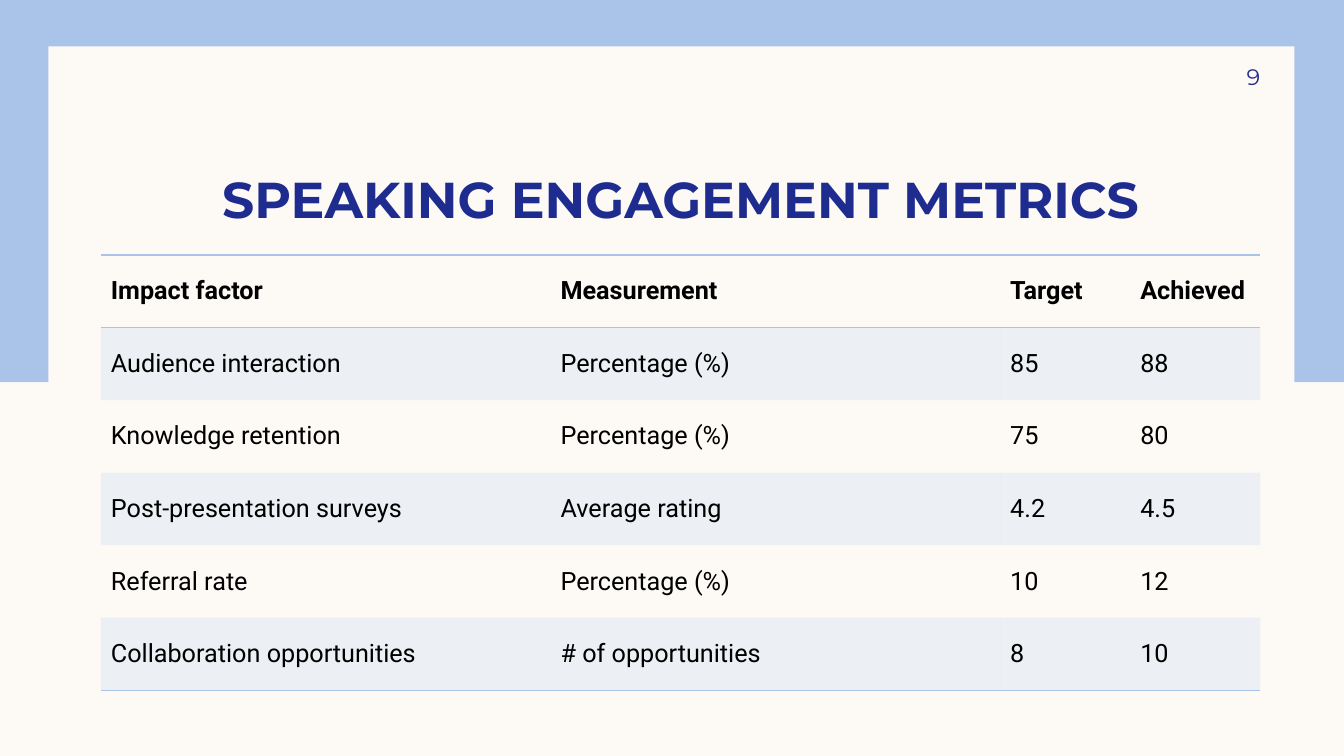
import pptx
import pptx.dml.color
import pptx.enum.shapes
import pptx.enum.text
import pptx.oxml
import pptx.oxml.ns
import pptx.util
from lxml import etree

Inches = pptx.util.Inches
Pt = pptx.util.Pt
ALIGN = pptx.enum.text.PP_ALIGN
ANCHOR = pptx.enum.text.MSO_ANCHOR

HEADING = "SPEAKING ENGAGEMENT METRICS"
PAGE_NUMBER = "9"
METRICS = [
    ("Impact factor", "Measurement", "Target", "Achieved"),
    ("Audience interaction", "Percentage (%)", "85", "88"),
    ("Knowledge retention", "Percentage (%)", "75", "80"),
    ("Post-presentation surveys", "Average rating", "4.2", "4.5"),
    ("Referral rate", "Percentage (%)", "10", "12"),
    ("Collaboration opportunities", "# of opportunities", "8", "10"),
]
COLUMN_WIDTHS = (4.46, 4.46, 1.29, 1.29)
ROW_HEIGHT = 0.72
CREAM, SKY, NAVY, BLACK = "FDFAF6", "AAC3E8", "1F2C8F", "000000"
PANELS = [
    ((-0.03, 0, 13.36, 3.79), SKY),
    ((0.48, 0.46, 12.36, 6.59), CREAM),
]
NO_GRID_STYLE = "{2D5ABB26-0587-4C30-8999-92F81FD0307C}"


def paint(fill, color):
    fill.solid()
    fill.fore_color.rgb = pptx.dml.color.RGBColor.from_string(color)


def write(paragraph, text, font, size, color, bold=False):
    run = paragraph.add_run()
    run.text = text
    run.font.name = font
    run.font.size = Pt(size)
    run.font.bold = bold
    paint(run.font.fill, color)


def add_text(slide, box, insets, anchor, align, text, size, bold):
    frame = slide.shapes.add_textbox(*map(Inches, box)).text_frame
    frame.word_wrap = True
    frame.vertical_anchor = anchor
    frame.margin_left, frame.margin_top, frame.margin_right, frame.margin_bottom = map(Inches, insets)
    frame.paragraphs[0].alignment = align
    write(frame.paragraphs[0], text, "Montserrat", size, NAVY, bold)


def add_child(parent, tag, **attributes):
    return etree.SubElement(parent, pptx.oxml.ns.qn(tag), **attributes)


def add_rule(cell_properties, side):
    rule = add_child(cell_properties, side, w=str(Pt(1)))
    add_child(add_child(rule, "a:solidFill"), "a:srgbClr", val=SKY)


def style_cell(cell, row, last_row):
    properties = cell._tc.get_or_add_tcPr()
    if row == 0:
        add_rule(properties, "a:lnT")
    if row in (0, last_row):
        add_rule(properties, "a:lnB")
    if row % 2:
        paint(cell.fill, SKY)
        tint = properties.find(".//" + pptx.oxml.ns.qn("a:solidFill") + "[last()]")
        tint = properties.findall(pptx.oxml.ns.qn("a:solidFill"))[0]
        add_child(tint[0], "a:alpha", val="20000")
    else:
        cell.fill.background()
    cell.vertical_anchor = ANCHOR.MIDDLE


def add_metrics(slide):
    table = slide.shapes.add_table(
        len(METRICS), len(COLUMN_WIDTHS), Inches(1), Inches(2.53),
        Inches(sum(COLUMN_WIDTHS)), Inches(ROW_HEIGHT * len(METRICS))).table
    table.horz_banding = False
    table._tbl.tblPr.find(pptx.oxml.ns.qn("a:tableStyleId")).text = NO_GRID_STYLE
    for column, width in zip(table.columns, COLUMN_WIDTHS):
        column.width = Inches(width)
    for row, entries in enumerate(METRICS):
        table.rows[row].height = Inches(ROW_HEIGHT)
        for column, entry in enumerate(entries):
            cell = table.cell(row, column)
            style_cell(cell, row, len(METRICS) - 1)
            write(cell.text_frame.paragraphs[0], entry, "Roboto", 18, BLACK, row == 0)


def main():
    deck = pptx.Presentation()
    deck.slide_width, deck.slide_height = Inches(13.33), Inches(7.5)
    slide = deck.slides.add_slide(deck.slide_layouts[6])
    paint(slide.background.fill, CREAM)
    for box, color in PANELS:
        panel = slide.shapes.add_shape(
            pptx.enum.shapes.MSO_SHAPE.RECTANGLE, *map(Inches, box))
        panel.shadow.inherit = False
        paint(panel.fill, color)
        panel.line.fill.background()
    add_text(slide, (1, 1.16, 11.5, 1.11), (0.1, 0, 0.1, 0),
             ANCHOR.BOTTOM, ALIGN.CENTER, HEADING, 36, True)
    add_metrics(slide)
    add_text(slide, (11.33, 0.5, 1.17, 0.52), (0.1, 0.05, 0, 0.05),
             ANCHOR.MIDDLE, ALIGN.RIGHT, PAGE_NUMBER, 16, False)
    deck.save("out.pptx")


if __name__ == "__main__":
    main()
